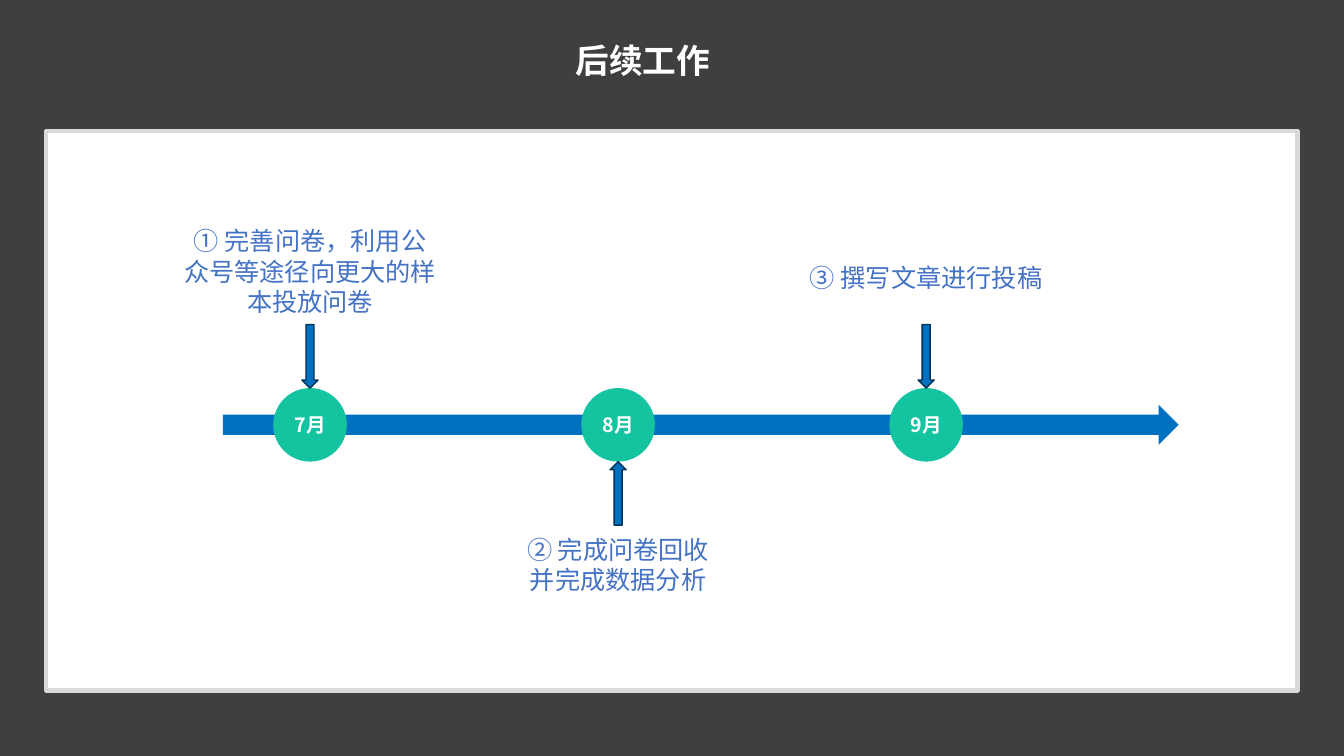
from typing import NamedTuple

from lxml.etree import SubElement
from pptx import Presentation
from pptx.dml.color import RGBColor
from pptx.enum.shapes import MSO_SHAPE
from pptx.enum.text import MSO_ANCHOR, MSO_AUTO_SIZE, PP_ALIGN
from pptx.oxml.ns import qn
from pptx.util import Inches, Pt

INK = {"dark": "3F3F3F", "white": "FFFFFF", "frame": "D9D9D9", "blue": "0070C0",
       "edge": "003154", "green": "14C39F", "note": "4472C4"}
SANS, HAN = "Noto Sans", "Noto Sans CJK SC"


class Box(NamedTuple):
    """Left, top, width and height in percent of the slide."""
    left: float
    top: float
    wide: float
    high: float


class Stop(NamedTuple):
    month: str
    lines: list[str]
    top: float
    wide: float
    below: bool = False


STOPS = [
    Stop("7月", ["① 完善问卷，利用公", "众号等途径向更大的样", "本投放问卷"], 29.2, 20.93),
    Stop("8月", ["② 完成问卷回收", "并完成数据分析"], 70, 15.3, below=True),
    Stop("9月", ["③ 撰写文章进行投稿"], 34, 19.05),
]

# Timeline measures, in percent
FIRST, STEP, MID = 23.07, 22.92, 56.2
DOT_W, DOT_H = 5.48, 9.73
TIP_W, TIP_H = 1.2, 8.4
BAR_H, PAD, LINE_H = 5.33, 1.33, 4.04

deck = Presentation()
deck.slide_width, deck.slide_height = Inches(13.33), Inches(7.5)
slide = deck.slides.add_slide(deck.slide_layouts[6])


def place(box: Box) -> list[int]:
    wide, high = deck.slide_width / 100, deck.slide_height / 100
    return [int(box.left * wide), int(box.top * high),
            int(box.wide * wide), int(box.high * high)]


def tint(name: str) -> RGBColor:
    return RGBColor.from_string(INK[name])


def draw(kind: MSO_SHAPE, box: Box, fill: str, line: str = "", width: float = 1):
    shape = slide.shapes.add_shape(kind, *place(box))
    shape.shadow.inherit = False
    shape.fill.solid()
    shape.fill.fore_color.rgb = tint(fill)
    if line:
        shape.line.color.rgb = tint(line)
        shape.line.width = Pt(width)
    else:
        shape.line.fill.background()
    return shape


def write(shape, lines: list[str], *, size: float, color: str, font: str = HAN,
          bold: bool = False, align: PP_ALIGN = PP_ALIGN.CENTER) -> None:
    frame = shape.text_frame
    for row, text in enumerate(lines):
        para = frame.add_paragraph() if row else frame.paragraphs[0]
        para.alignment = align
        run = para.add_run()
        run.text = text
        run.font.size, run.font.bold, run.font.name = Pt(size), bold, font
        run.font.color.rgb = tint(color)
        # East Asian glyphs take their own font entry
        SubElement(run.font._element, qn("a:ea")).set("typeface", font)


def label(box: Box, wrap: bool):
    text = slide.shapes.add_textbox(*place(box))
    text.text_frame.word_wrap = wrap
    text.text_frame.auto_size = MSO_AUTO_SIZE.SHAPE_TO_FIT_TEXT
    return text


def mark(spot: float, stop: Stop) -> None:
    """Draw the arrow and the note of one month."""
    top = MID + DOT_H / 2 if stop.below else MID - DOT_H / 2 - TIP_H
    tip = draw(MSO_SHAPE.DOWN_ARROW, Box(spot - TIP_W / 2, top, TIP_W, TIP_H),
               "blue", "edge")
    tip.rotation = 180 if stop.below else 0
    high = PAD + LINE_H * len(stop.lines)
    note = label(Box(spot - stop.wide / 2, stop.top, stop.wide, high), False)
    write(note, stop.lines, size=18, color="note")


# Backdrop and panel
draw(MSO_SHAPE.RECTANGLE, Box(0, 0, 100, 100), "dark")
draw(MSO_SHAPE.RECTANGLE, Box(3.45, 17.33, 93.1, 74), "white", "frame", 3)

# Title
title = label(Box(42.84, 5.33, 14.33, 5.33), True)
head = title.text_frame
head.margin_left = head.margin_top = head.margin_right = head.margin_bottom = 0
head.vertical_anchor = MSO_ANCHOR.MIDDLE
write(title, ["后续工作"], size=24, color="white", font=SANS, bold=True,
      align=PP_ALIGN.JUSTIFY)

# Timeline
draw(MSO_SHAPE.RIGHT_ARROW, Box(16.58, MID - BAR_H / 2, 71.12, BAR_H), "blue")
for turn, stop in enumerate(STOPS):
    spot = FIRST + STEP * turn
    dot = draw(MSO_SHAPE.FLOWCHART_CONNECTOR,
               Box(spot - DOT_W / 2, MID - DOT_H / 2, DOT_W, DOT_H), "green")
    dot.text_frame.word_wrap = True
    dot.text_frame.vertical_anchor = MSO_ANCHOR.MIDDLE
    write(dot, [stop.month], size=14, color="white", bold=True)
    mark(spot, stop)

deck.save("out.pptx")
